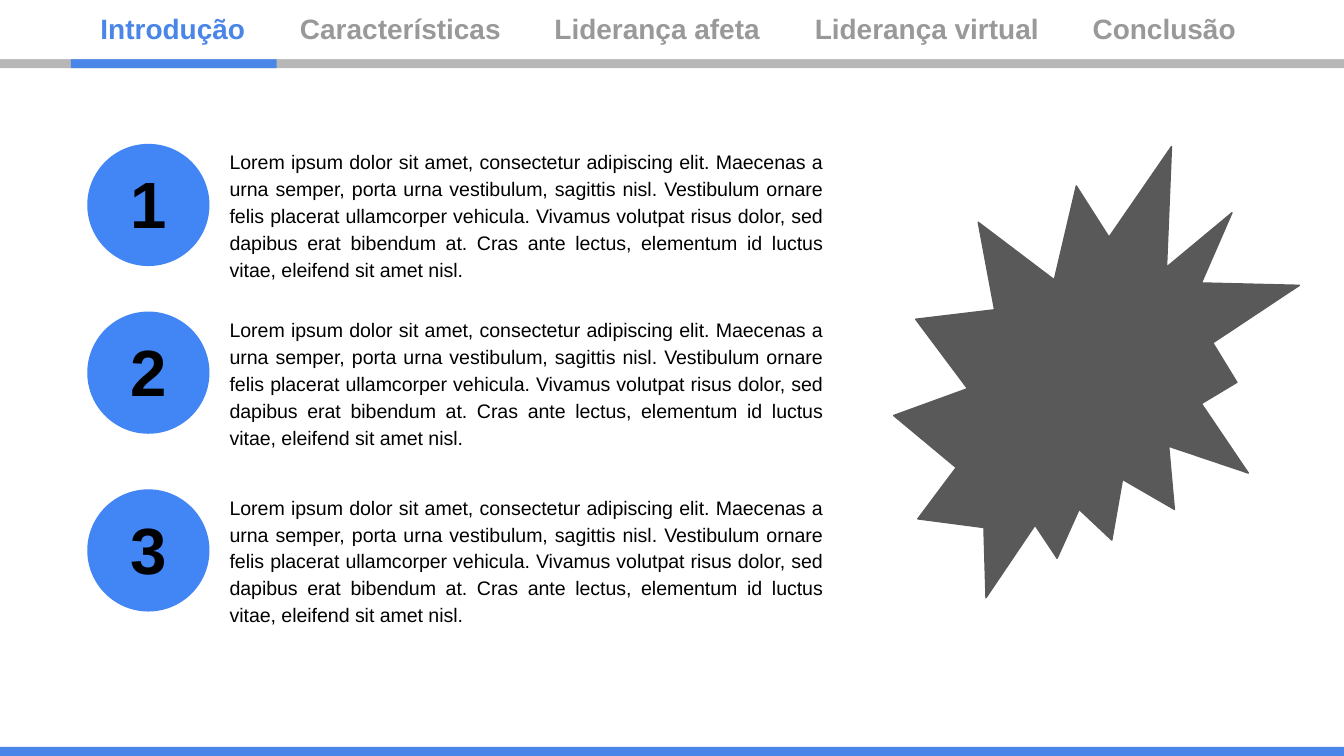
from dataclasses import dataclass

from lxml.etree import SubElement
from pptx import Presentation
from pptx.dml.color import RGBColor
from pptx.enum.shapes import MSO_SHAPE
from pptx.enum.text import MSO_ANCHOR, PP_ALIGN
from pptx.oxml.ns import qn
from pptx.util import Cm, Pt


@dataclass(frozen=True)
class Theme:
    font: str = "Arial"
    accent: str = "4A86E8"
    badge: str = "4285F4"
    rule: str = "B7B7B7"
    muted: str = "999999"
    seal: str = "595959"
    paper: str = "FFFFFF"
    ink: str = "000000"
    menu_size: float = 15
    body_size: float = 10.5
    number_size: float = 35


THEME = Theme()
SLIDE_WIDTH, SLIDE_HEIGHT = 25.4, 14.29
BAR_HEIGHT = 0.17

SECTIONS = ["Introdução", "Características", "Liderança afeta", "Liderança virtual", "Conclusão"]
SECTION_TABS = [3.77, 8.58, 13.5, 18.75]
ITEM_TOPS = [2.72, 5.89, 9.25]
BODY = (
    "Lorem ipsum dolor sit amet, consectetur adipiscing elit. Maecenas a urna semper, "
    "porta urna vestibulum, sagittis nisl. Vestibulum ornare felis placerat ullamcorper "
    "vehicula. Vivamus volutpat risus dolor, sed dapibus erat bibendum at. Cras ante "
    "lectus, elementum id luctus vitae, eleifend sit amet nisl."
)


def add_filled_shape(slide, kind, left, top, width, height, color):
    shape = slide.shapes.add_shape(kind, Cm(left), Cm(top), Cm(width), Cm(height))
    shape.shadow.inherit = False
    shape.fill.solid()
    shape.fill.fore_color.rgb = RGBColor.from_string(color)
    shape.line.fill.background()
    return shape


def set_margins(frame, margin):
    frame.margin_left = frame.margin_right = Cm(margin)
    frame.margin_top = frame.margin_bottom = Cm(margin)


def add_text_frame(slide, left, top, width, height):
    frame = slide.shapes.add_textbox(Cm(left), Cm(top), Cm(width), Cm(height)).text_frame
    frame.word_wrap = True
    set_margins(frame, 0.25)
    return frame


def set_font(paragraph, size, color, bold=False):
    paragraph.font.name = THEME.font
    paragraph.font.size = Pt(size)
    paragraph.font.bold = bold
    paragraph.font.color.rgb = RGBColor.from_string(color)


def add_tab_stops(paragraph, positions):
    tab_list = SubElement(paragraph._p.get_or_add_pPr(), qn("a:tabLst"))
    for position in positions:
        SubElement(tab_list, qn("a:tab"), pos=str(Cm(position)), algn="l")


def add_navigation(slide, left, top, width, height):
    # Rule with the marker of the current section
    rule_top = top + height
    add_filled_shape(slide, MSO_SHAPE.RECTANGLE, left, rule_top, width, BAR_HEIGHT, THEME.rule)
    add_filled_shape(slide, MSO_SHAPE.RECTANGLE, left + 1.34, rule_top, 3.89, BAR_HEIGHT, THEME.accent)
    add_filled_shape(slide, MSO_SHAPE.RECTANGLE, left, top, width, height, THEME.paper)

    # Section names on tab stops
    frame = add_text_frame(slide, left + 1.65, top - 0.03, width - 3.33, height + 0.02)
    paragraph = frame.paragraphs[0]
    add_tab_stops(paragraph, SECTION_TABS)
    set_font(paragraph, THEME.menu_size, THEME.muted, bold=True)
    current = paragraph.add_run()
    current.text = SECTIONS[0]
    current.font.color.rgb = RGBColor.from_string(THEME.accent)
    paragraph.add_run().text = "".join("\t" + section for section in SECTIONS[1:])


def add_item(slide, number, left, top, width, height):
    # Numbered badge
    diameter = 2.31
    badge = add_filled_shape(
        slide, MSO_SHAPE.FLOWCHART_CONNECTOR, left, top, diameter, diameter, THEME.badge
    )
    frame = badge.text_frame
    set_margins(frame, 0)
    frame.margin_bottom = Cm(0.08)
    frame.vertical_anchor = MSO_ANCHOR.MIDDLE
    paragraph = frame.paragraphs[0]
    paragraph.text = str(number)
    paragraph.alignment = PP_ALIGN.CENTER
    set_font(paragraph, THEME.number_size, THEME.ink, bold=True)

    # Description
    text_offset = 2.44
    frame = add_text_frame(slide, left + text_offset, top - 0.2, width - text_offset, height)
    paragraph = frame.paragraphs[0]
    paragraph.text = BODY
    paragraph.alignment = PP_ALIGN.JUSTIFY
    paragraph.line_spacing = 1.15
    set_font(paragraph, THEME.body_size, THEME.ink)


def add_seal(slide, left, top, width, height):
    seal = add_filled_shape(slide, MSO_SHAPE.EXPLOSION2, left, top, width, height, THEME.seal)
    seal.line.color.rgb = RGBColor.from_string(THEME.seal)
    seal.line.width = Pt(0.75)


def build_slide(presentation):
    slide = presentation.slides.add_slide(presentation.slide_layouts[6])
    add_navigation(slide, 0, 0, SLIDE_WIDTH, 1.12)
    for number, top in enumerate(ITEM_TOPS, start=1):
        add_item(slide, number, 1.65, top, 14.17, 4.62)
    add_seal(slide, 16.89, 2.77, 7.67, 8.53)

    # Footer bar
    add_filled_shape(
        slide, MSO_SHAPE.RECTANGLE, 0, SLIDE_HEIGHT - BAR_HEIGHT, SLIDE_WIDTH, BAR_HEIGHT, THEME.accent
    )


def main():
    presentation = Presentation()
    presentation.slide_width = Cm(SLIDE_WIDTH)
    presentation.slide_height = Cm(SLIDE_HEIGHT)
    build_slide(presentation)
    presentation.save("out.pptx")


if __name__ == "__main__":
    main()
